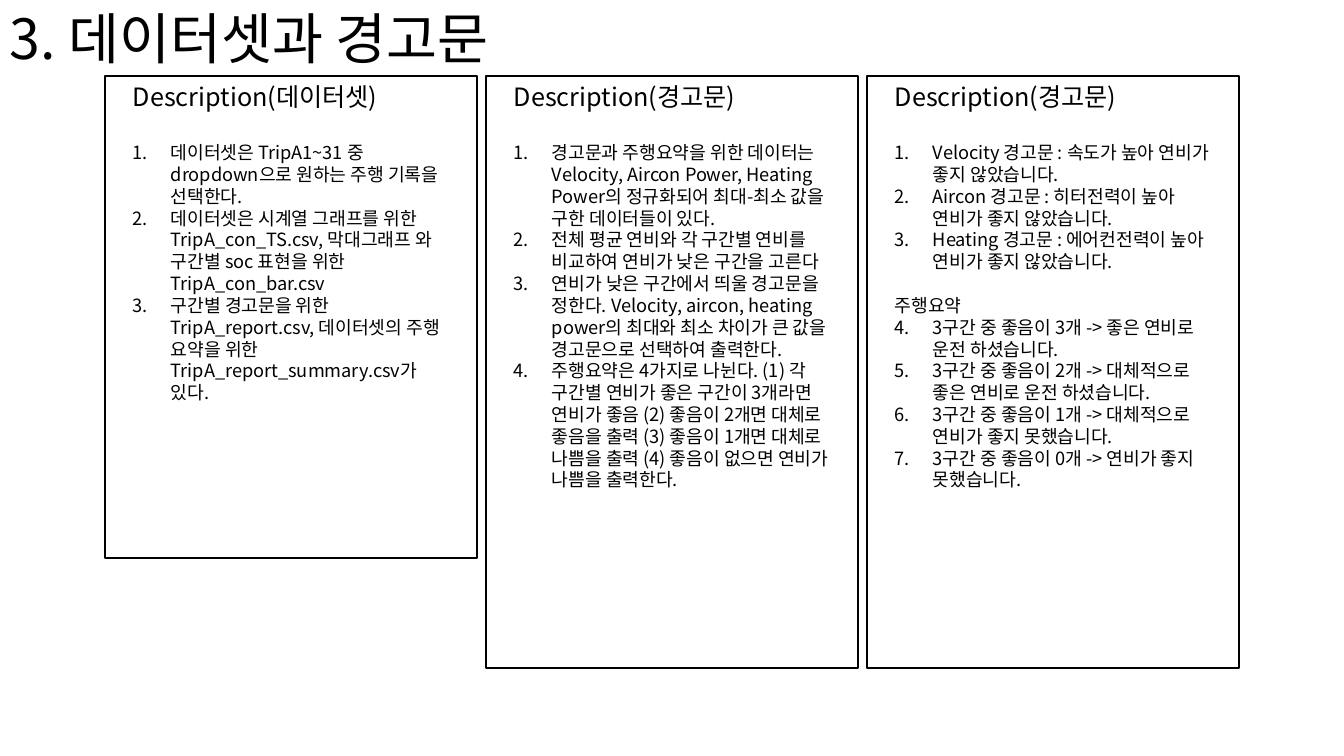
"""Build the slide that describes the datasets and the warning messages."""
import pptx
import pptx.dml.color
import pptx.enum.shapes
import pptx.enum.text
import pptx.oxml
import pptx.util

SCALE = 914400 / 100.8
FONT = "Noto Sans CJK KR"
INK = "000000"
PANEL_LEFT, PANEL_TOP, PANEL_WIDTH, PANEL_STEP = 105, 76, 372, 381
TEXT_INSET, TEXT_WIDTH, ITEM_INDENT = 18, 337, 38


def pixels(*values):
    return [round(value * SCALE) for value in values]


def add_text(paragraph, text, size, **format_values):
    run = paragraph.add_run()
    run.text = text
    run.font.size = pptx.util.Pt(size)
    run.font.name = FONT
    run.font.color.rgb = pptx.dml.color.RGBColor.from_string(INK)
    properties = run.font._element
    east_asian = pptx.oxml.parse_xml(
        '<a:ea xmlns:a="http://schemas.openxmlformats.org/drawingml/2006/main"/>')
    east_asian.set("typeface", FONT)
    properties.append(east_asian)
    for name, value in format_values.items():
        setattr(paragraph, name, value)


panels = [
    ("Description(데이터셋)", 482, 358, [
        "데이터셋은 TripA1~31 중 dropdown으로 원하는 주행 기록을 선택한다.",
        "데이터셋은 시계열 그래프를 위한 TripA_con_TS.csv, 막대그래프 와 "
        "구간별 soc 표현을 위한 TripA_con_bar.csv",
        "구간별 경고문을 위한 TripA_report.csv, 데이터셋의 주행 요약을 위한 "
        "TripA_report_summary.csv가 있다.",
    ]),
    ("Description(경고문)", 592, 534, [
        "경고문과 주행요약을 위한 데이터는 Velocity, Aircon Power, Heating Power의 "
        "정규화되어 최대-최소 값을 구한 데이터들이 있다.",
        "전체 평균 연비와 각 구간별 연비를 비교하여 연비가 낮은 구간을 고른다",
        "연비가 낮은 구간에서 띄울 경고문을 정한다. Velocity, aircon, heating power의 "
        "최대와 최소 차이가 큰 값을 경고문으로 선택하여 출력한다.",
        "주행요약은 4가지로 나뉜다. (1) 각 구간별 연비가 좋은 구간이 3개라면 연비가 좋음 "
        "(2) 좋음이 2개면 대체로 좋음을 출력 (3) 좋음이 1개면 대체로 나쁨을 출력 "
        "(4) 좋음이 없으면 연비가 나쁨을 출력한다.",
    ]),
    ("Description(경고문)", 592, 424, [
        "Velocity 경고문 : 속도가 높아 연비가 좋지 않았습니다.",
        "Aircon 경고문 : 히터전력이 높아 연비가 좋지 않았습니다.",
        "Heating 경고문 : 에어컨전력이 높아 연비가 좋지 않았습니다.",
        "주행요약",
        "3구간 중 좋음이 3개 -> 좋은 연비로 운전 하셨습니다.",
        "3구간 중 좋음이 2개 -> 대체적으로 좋은 연비로 운전 하셨습니다.",
        "3구간 중 좋음이 1개 -> 대체적으로 연비가 좋지 못했습니다.",
        "3구간 중 좋음이 0개 -> 연비가 좋지 못했습니다.",
    ]),
]

presentation = pptx.Presentation()
presentation.slide_width, presentation.slide_height = pixels(1344, 756)
slide = presentation.slides.add_slide(presentation.slide_layouts[6])

for index, (heading, panel_height, text_height, items) in enumerate(panels):
    left = PANEL_LEFT + index * PANEL_STEP
    group = slide.shapes.add_group_shape()
    frame = group.shapes.add_shape(
        pptx.enum.shapes.MSO_SHAPE.RECTANGLE,
        *pixels(left, PANEL_TOP, PANEL_WIDTH, panel_height))
    frame.shadow.inherit = False
    frame.fill.background()
    frame.line.color.rgb = pptx.dml.color.RGBColor.from_string(INK)
    frame.line.width = pptx.util.Pt(1.25)

    description = group.shapes.add_textbox(
        *pixels(left + TEXT_INSET, PANEL_TOP, TEXT_WIDTH, text_height)).text_frame
    description.word_wrap = True
    add_text(description.paragraphs[0], heading, 18,
             line_spacing=pptx.util.Pt(21.6), space_after=pptx.util.Pt(21.6))
    for item in items:
        paragraph = description.add_paragraph()
        add_text(paragraph, item, 13, line_spacing=pptx.util.Pt(15.6))
        if item == "주행요약":
            paragraph.space_before = pptx.util.Pt(15.6)
            continue
        properties = paragraph._p.get_or_add_pPr()
        indent, = pixels(ITEM_INDENT)
        properties.set("marL", str(indent))
        properties.set("indent", str(-indent))
        properties.append(pptx.oxml.parse_xml(
            '<a:buAutoNum xmlns:a="http://schemas.openxmlformats.org/drawingml/2006/main"'
            ' type="arabicPeriod"/>'))

title = slide.shapes.add_textbox(*pixels(0, 3, 887, 77)).text_frame
title.word_wrap = True
title.vertical_anchor = pptx.enum.text.MSO_ANCHOR.MIDDLE
add_text(title.paragraphs[0], "3. 데이터셋과 경고문", 39.6, line_spacing=0.9)

presentation.save("out.pptx")
